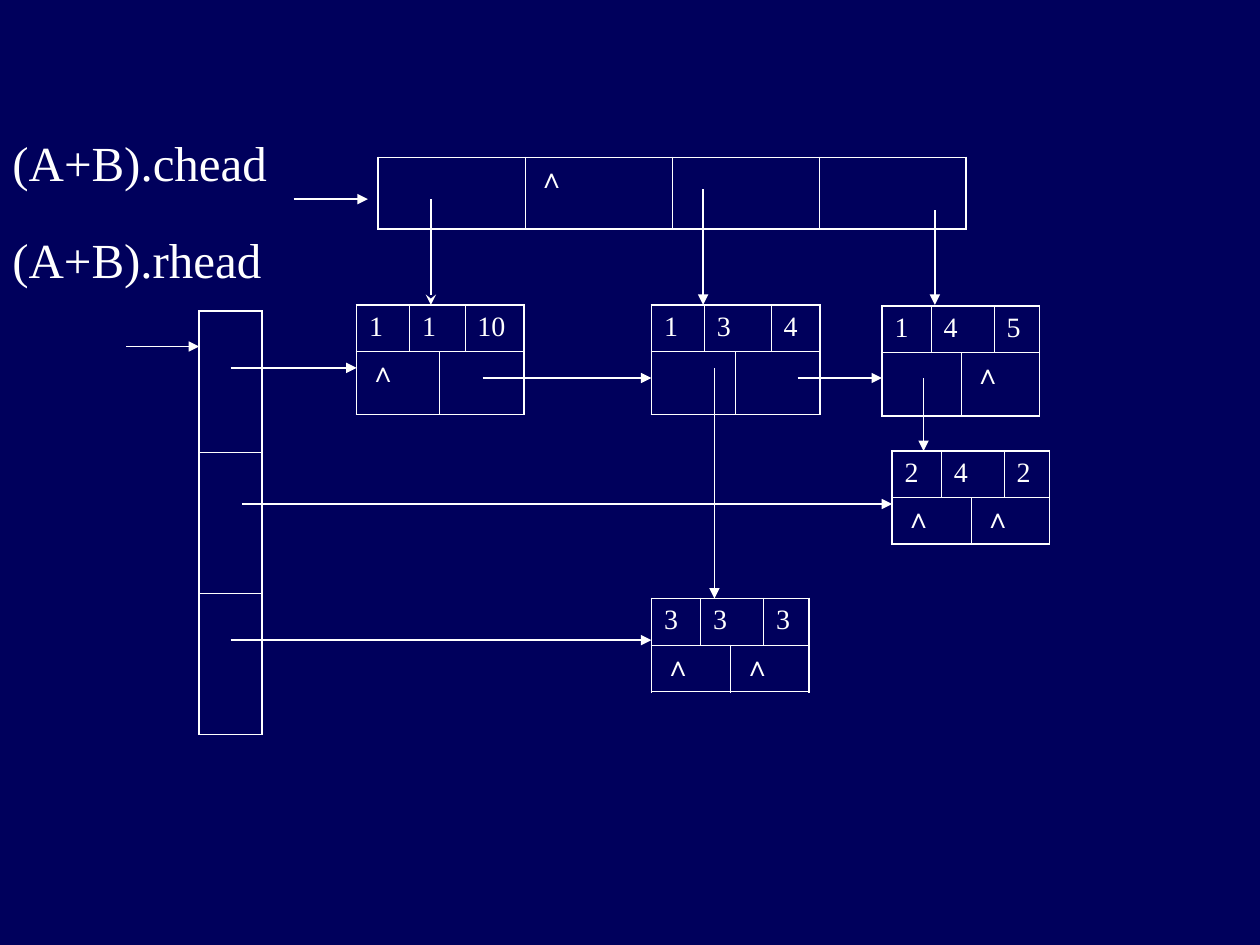
"""Draw the orthogonal linked list of the sparse matrix sum A+B."""
from lxml import etree
from pptx import Presentation
from pptx.dml.color import RGBColor
from pptx.enum.shapes import MSO_CONNECTOR
from pptx.enum.text import MSO_AUTO_SIZE
from pptx.oxml.ns import qn
from pptx.util import Inches, Pt

NAVY = RGBColor(0x00, 0x00, 0x5C)
WHITE = RGBColor(0xFF, 0xFF, 0xFF)
FONT = "Times New Roman"
NO_STYLE = "{2D5ABB26-0587-4C30-8999-92F81FD0307C}"
OUTER, INNER = Pt(1.08), Pt(0.45)
NULL = "∧"
NODE_COLUMNS = (0.39, 0.24, 0.26, 0.36)
NODE_ROWS = (0.37, 0.37)


class ListDiagram:
    """Holds the diagram style and the slide being drawn."""

    def __init__(self, slide):
        self.slide = slide
        fill = slide.background.fill
        fill.solid()
        fill.fore_color.rgb = NAVY

    def add_text(self, paragraph, text, size):
        run = paragraph.add_run()
        run.text = text
        run.font.name = FONT
        run.font.size = Pt(size)
        run.font.color.rgb = WHITE

    def label(self, left, top, width, text):
        box = self.slide.shapes.add_textbox(
            Inches(left), Inches(top), Inches(width), Inches(0.57))
        frame = box.text_frame
        frame.word_wrap = True
        frame.auto_size = MSO_AUTO_SIZE.SHAPE_TO_FIT_TEXT
        self.add_text(frame.paragraphs[0], text, 28)

    def grid(self, left, top, widths, heights):
        table = self.slide.shapes.add_table(
            len(heights), len(widths), Inches(left), Inches(top),
            Inches(sum(widths)), Inches(sum(heights))).table
        table.first_row = table.horz_banding = False
        table._tbl.tblPr.find(qn("a:tableStyleId")).text = NO_STYLE
        for column, width in zip(table.columns, widths):
            column.width = Inches(width)
        for row, height in zip(table.rows, heights):
            row.height = Inches(height)
        return table

    def fill_cells(self, table, texts):
        row_count, column_count = len(table.rows), len(table.columns)
        for r in range(row_count):
            for c in range(column_count):
                cell = table.cell(r, c)
                if cell.is_spanned:
                    continue
                end = c + (cell.span_width if cell.is_merge_origin else 1)
                outer_sides = {"L": c == 0, "R": end == column_count,
                               "T": r == 0, "B": r == row_count - 1}
                for side, is_outer in outer_sides.items():
                    self.border(cell, side, OUTER if is_outer else INNER)
                cell.fill.background()
                paragraph = cell.text_frame.paragraphs[0]
                text = texts.get((r, c))
                if text:
                    self.add_text(paragraph, text, 16)
                else:
                    empty = paragraph._p.get_or_add_endParaRPr()
                    empty.set("sz", "2400")
                    etree.SubElement(empty, qn("a:latin"), typeface=FONT)

    def border(self, cell, side, width):
        edge = etree.SubElement(
            cell._tc.get_or_add_tcPr(), qn(f"a:ln{side}"), w=str(int(width)))
        paint = etree.SubElement(edge, qn("a:solidFill"))
        etree.SubElement(paint, qn("a:srgbClr"), val=str(WHITE))

    def heads(self, left, top, widths, heights, texts):
        self.fill_cells(self.grid(left, top, widths, heights), texts)

    def node(self, left, top, triple, down, right, widths=NODE_COLUMNS):
        table = self.grid(left, top, widths, NODE_ROWS)
        for row, first, last in ((0, 1, 2), (1, 0, 1), (1, 2, 3)):
            table.cell(row, first).merge(table.cell(row, last))
        row_index, column_index, value = triple
        self.fill_cells(table, {
            (0, 0): row_index, (0, 1): column_index, (0, 3): value,
            (1, 0): down, (1, 2): right})

    def arrow(self, x1, y1, x2, y2, head="triangle"):
        link = self.slide.shapes.add_connector(
            MSO_CONNECTOR.STRAIGHT, Inches(x1), Inches(y1), Inches(x2), Inches(y2))
        link.line.color.rgb = WHITE
        link.line.width = Pt(0.75)
        properties = link._element.spPr
        etree.SubElement(properties.find(qn("a:ln")), qn("a:tailEnd"), type=head)
        etree.SubElement(properties, qn("a:effectLst"))


def main():
    deck = Presentation()
    deck.slide_width, deck.slide_height = Inches(10), Inches(7.5)
    diagram = ListDiagram(deck.slides.add_slide(deck.slide_layouts[6]))

    diagram.label(0, 1, 2.42, "(A+B).chead")
    diagram.label(0, 1.77, 2.33, "(A+B).rhead")
    diagram.heads(3, 1.25, [4.67 / 4] * 4, [0.57], {(0, 1): NULL})
    diagram.heads(1.58, 2.47, [0.5], [1.12] * 3, {})

    diagram.node(2.83, 2.42, ("1", "1", "10"), NULL, None, (0.42, 0.24, 0.2, 0.47))
    diagram.node(5.17, 2.42, ("1", "3", "4"), None, None, (0.42, 0.25, 0.28, 0.39))
    diagram.node(7, 2.43, ("1", "4", "5"), None, NULL)
    diagram.node(7.08, 3.58, ("2", "4", "2"), NULL, NULL)
    diagram.node(5.17, 4.75, ("3", "3", "3"), NULL, NULL)

    diagram.arrow(3.42, 1.58, 3.42, 2.42, "stealth")
    for x, start, end in ((5.58, 1.5, 2.42), (7.42, 1.67, 2.42),
                          (5.67, 2.92, 4.75), (7.33, 3, 3.58)):
        diagram.arrow(x, start, x, end)
    for y, start, end in ((1.58, 2.33, 2.92), (2.75, 1, 1.58),
                          (2.92, 1.83, 2.83), (3, 3.83, 5.17), (3, 6.33, 7),
                          (4, 1.92, 7.08), (5.08, 1.83, 5.17)):
        diagram.arrow(start, y, end, y)

    deck.save("out.pptx")


if __name__ == "__main__":
    main()
